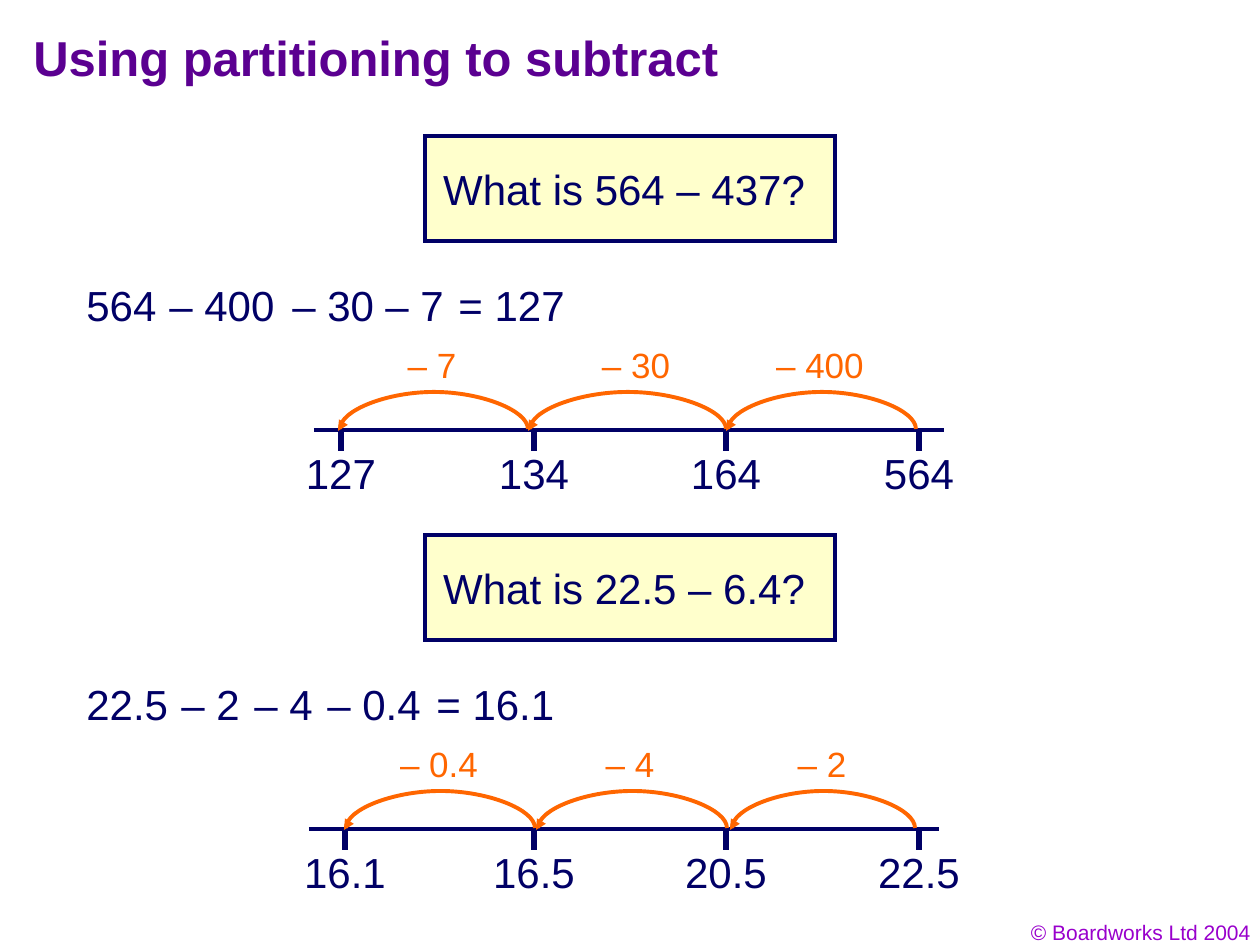
from lxml import etree
from pptx import Presentation, util as u
from pptx.dml.color import RGBColor
from pptx.enum import shapes, text
from pptx.oxml.ns import qn

SCALE = 914400 / 126  # EMU per px
FONT = "Arial"
COLORS = {
    "title": "5B0091",
    "navy": "000066",
    "ink": "010066",
    "jump": "FF6600",
    "box": "FFFFCC",
    "footer": "9900CC",
}

TITLE = "Using partitioning to subtract"
COPYRIGHT = "© Boardworks Ltd 2004"
# terms: (text, left); ticks: (text, centre); jumps: (text, centre, arc left, arc right)
PROBLEMS = [
    {
        "question": "What is 564 – 437? ",
        "terms": [("564", 74), ("– 400", 157), ("– 30", 280), ("– 7", 373), ("= 127", 446)],
        "axis": (314, 944),
        "ticks": [("127", 341), ("134", 534), ("164", 726), ("564", 919)],
        "jumps": [("– 7", 432, 340, 528), ("– 30", 636, 530, 726), ("– 400", 820, 728, 916)],
    },
    {
        "question": "What is 22.5 – 6.4? ",
        "terms": [("22.5", 74), ("– 2", 169), ("– 4", 242), ("– 0.4", 315), ("= 16.1", 424)],
        "axis": (309, 939),
        "ticks": [("16.1", 345), ("16.5", 534), ("20.5", 726), ("22.5", 919)],
        "jumps": [("– 0.4", 439, 346, 535), ("– 4", 630, 538, 727), ("– 2", 822, 732, 915)],
    },
]
PROBLEM_STEP = 399
QUESTION_BOX = (425, 136, 410, 105)
TERM_TOP, JUMP_LABEL_TOP, TICK_LABEL_TOP = 273, 337, 441
AXIS_Y, TICK_LENGTH = 430, 21
ARC_BASE, ARC_HEIGHT = 429, 37

presentation = Presentation()
presentation.slide_width, presentation.slide_height = u.Inches(10), u.Inches(7.5)
slide = presentation.slides.add_slide(presentation.slide_layouts[6])


def emu(px):
    return u.Emu(round(px * SCALE))


def rgb(name):
    return RGBColor.from_string(COLORS[name])


def write(shape, words, size, color, align, bold=False, wrap=False):
    frame = shape.text_frame
    frame.word_wrap = wrap
    frame.text = words
    paragraph = frame.paragraphs[0]
    paragraph.alignment = align
    font = paragraph.runs[0].font
    font.name, font.size, font.bold = FONT, u.Pt(size), bold
    font.color.rgb = rgb(color)


def add_text(words, left, top, width, height, size, color, align=text.PP_ALIGN.LEFT, **style):
    box = slide.shapes.add_textbox(emu(left), emu(top), emu(width), emu(height))
    write(box, words, size, color, align, **style)


def text_width(words, size):
    """Width in px of a box that fits digits, signs, dots and spaces in Arial."""
    ems = sum({" ": 0.28, ".": 0.28, "=": 0.59}.get(letter, 0.56) for letter in words)
    return round(26 + ems * size * 1.75)


def add_centred_label(words, centre, top, height, size, color):
    width = text_width(words, size)
    add_text(words, centre - width / 2, top, width, height, size, color, text.PP_ALIGN.CENTER)


def add_line(x1, y1, x2, y2, color, weight, arrow=False):
    line = slide.shapes.add_connector(
        shapes.MSO_CONNECTOR.STRAIGHT, emu(x1), emu(y1), emu(x2), emu(y2))
    line.line.color.rgb = rgb(color)
    line.line.width = u.Pt(weight)
    if arrow:
        etree.SubElement(line.line._get_or_add_ln(), qn("a:tailEnd"), type="triangle")
    etree.SubElement(line._element.spPr, qn("a:effectLst"))


def add_arc(left, right, base):
    """Draw an arch of two Bezier curves that meet at its top."""
    width, height = emu(right - left), emu(ARC_HEIGHT)
    builder = slide.shapes.build_freeform(emu(left), emu(base))
    builder.add_line_segments(
        [(emu(left) + width // 2, emu(base) - height), (emu(left) + width, emu(base))],
        close=False)
    arc = builder.convert_to_shape()
    arc.shadow.inherit = False
    arc.fill.background()
    arc.line.color.rgb = rgb("jump")
    arc.line.width = u.Pt(2.25)

    controls = [[(0, height // 2), (width // 4, 0)],
                [(width * 3 // 4, 0), (width, height // 2)]]
    for segment, handles in zip(list(arc._element.iter(qn("a:lnTo"))), controls):
        segment.tag = qn("a:cubicBezTo")
        for position, (x, y) in enumerate(handles):
            segment.insert(position, etree.Element(qn("a:pt"), x=str(x), y=str(y)))


def add_question(words, offset):
    left, top, width, height = QUESTION_BOX
    box = slide.shapes.add_shape(shapes.MSO_SHAPE.RECTANGLE, emu(left), emu(top + offset),
                                 emu(width), emu(height))
    box.shadow.inherit = False
    box.fill.solid()
    box.fill.fore_color.rgb = rgb("box")
    box.line.color.rgb = rgb("navy")
    box.line.width = u.Pt(2.25)
    etree.SubElement(box.line._get_or_add_ln(), qn("a:miter"), lim="800000")
    box.text_frame.vertical_anchor = text.MSO_ANCHOR.MIDDLE
    write(box, words, 24, "navy", text.PP_ALIGN.CENTER)


def add_problem(problem, offset):
    add_question(problem["question"], offset)
    for words, left in problem["terms"]:
        add_text(words, left, TERM_TOP + offset, text_width(words, 24), 63, 24, "ink")

    axis_y = AXIS_Y + offset
    start, end = problem["axis"]
    add_line(start, axis_y, end, axis_y, "navy", 2.25)
    for words, centre in problem["ticks"]:
        add_line(centre, axis_y, centre, axis_y + TICK_LENGTH, "navy", 3)
        add_centred_label(words, centre, TICK_LABEL_TOP + offset, 63, 24, "ink")

    base = ARC_BASE + offset
    for words, centre, left, right in problem["jumps"]:
        add_arc(left, right, base)
        add_line(left + 9, base - 16, left - 2, base + 2, "jump", 0.75, arrow=True)
        add_centred_label(words, centre, JUMP_LABEL_TOP + offset, 55, 20, "jump")


add_text(COPYRIGHT, 969, 913, 294, 38, 12, "footer", text.PP_ALIGN.RIGHT, wrap=True)
add_text(TITLE, 21, 21, 1092, 84, 28, "title", bold=True, wrap=True)
for index, problem in enumerate(PROBLEMS):
    add_problem(problem, index * PROBLEM_STEP)

presentation.save("out.pptx")
